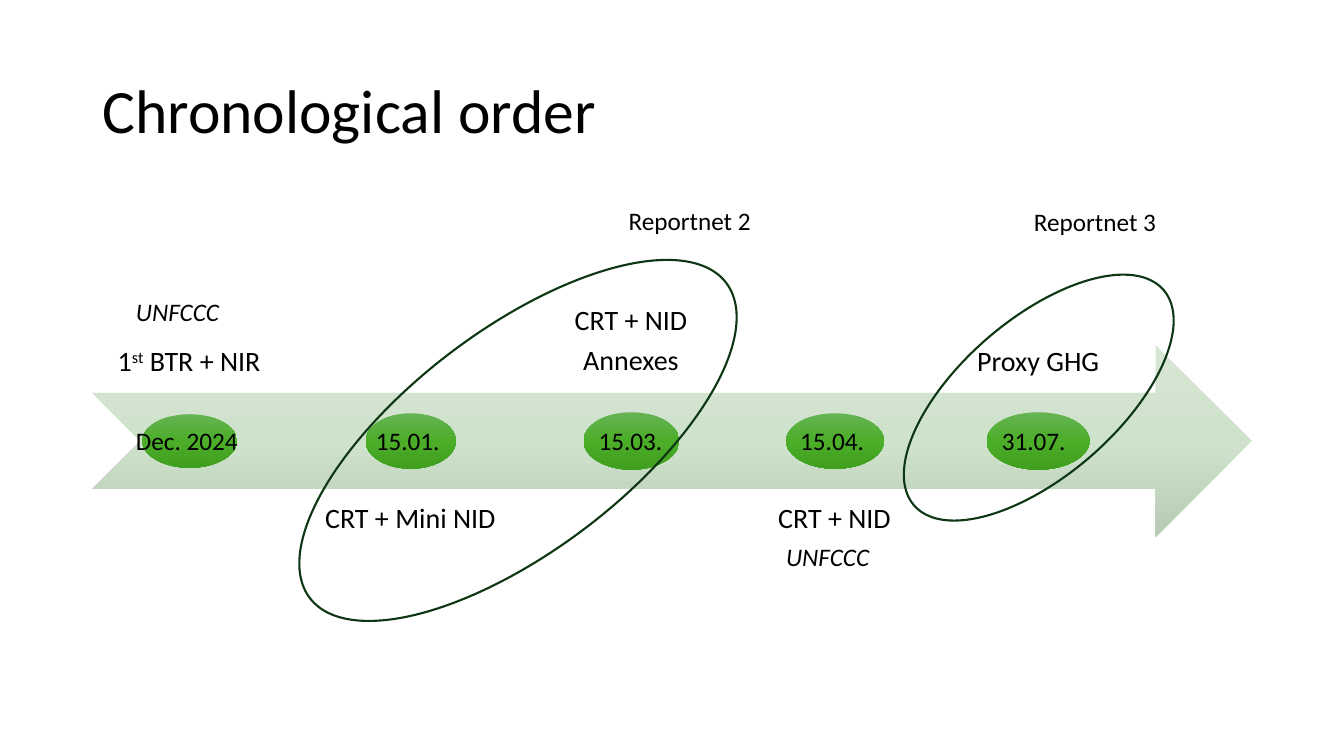
from copy import deepcopy

from pptx import Presentation
from pptx.dml.color import RGBColor
from pptx.enum.shapes import MSO_SHAPE as Preset
from pptx.enum.text import MSO_ANCHOR as Anchor, PP_ALIGN as Align
from pptx.oxml.ns import qn
from pptx.util import Pt


def color(hex_code):
    return RGBColor.from_string(hex_code)


class TimelineSlide:
    font_name = "Calibri"
    text_color = "000000"
    ring_color = "0D3612"
    arrow_gradient = ("D8E6D5", "CFE2CC", "B7CBB4")
    dot_gradient = ("66B354", "4BAD28", "409F1E")

    def __init__(self, presentation):
        self.slide = presentation.slides.add_slide(presentation.slide_layouts[5])

    def format_runs(self, paragraph, size, italic=False):
        for run in paragraph.runs:
            run.font.name = self.font_name
            run.font.size = Pt(size)
            run.font.italic = italic
            run.font.color.rgb = color(self.text_color)

    def title(self, text, left, top, width, height):
        title = self.slide.shapes.title
        title.left, title.top, title.width, title.height = map(Pt, (left, top, width, height))
        title.text_frame.text = text
        title.text_frame.vertical_anchor = Anchor.MIDDLE
        paragraph = title.text_frame.paragraphs[0]
        paragraph.alignment = Align.LEFT
        paragraph.line_spacing = 0.9
        self.format_runs(paragraph, 44)

    def text_box(self, left, top, width, height):
        box = self.slide.shapes.add_textbox(*map(Pt, (left, top, width, height)))
        box.text_frame.word_wrap = True
        return box.text_frame

    def note(self, text, left, top, width, italic=False):
        frame = self.text_box(left, top, width, 29)
        frame.text = text
        self.format_runs(frame.paragraphs[0], 18, italic)

    def label(self, lines, left, width, above):
        frame = self.text_box(left, 144 if above else 349.2, width, 136.8)
        frame.vertical_anchor = Anchor.BOTTOM if above else Anchor.TOP
        frame.margin_left = frame.margin_right = Pt(11.5)
        frame.margin_top = frame.margin_bottom = Pt(11.5)
        for index, parts in enumerate(lines):
            paragraph = frame.add_paragraph() if index else frame.paragraphs[0]
            paragraph.alignment = Align.CENTER
            paragraph.line_spacing = 0.9
            paragraph.space_after = Pt(7)
            for part in parts:
                paragraph.add_run().text = part
            self.format_runs(paragraph, 20)
            if len(parts) > 1:
                paragraph.runs[1].font._element.set("baseline", "30000")

    def preset(self, kind, left, top, width, height):
        shape = self.slide.shapes.add_shape(kind, *map(Pt, (left, top, width, height)))
        shape.shadow.inherit = False
        return shape

    def gradient_shape(self, kind, left, top, width, height, colors):
        shape = self.preset(kind, left, top, width, height)
        shape.line.fill.background()
        shape.fill.gradient()
        shape.fill.gradient_angle = 270
        stops = shape._element.spPr.find(qn("a:gradFill")).find(qn("a:gsLst"))
        stops.insert(1, deepcopy(stops[0]))
        for index, (stop, hex_code) in enumerate(zip(shape.fill.gradient_stops, colors)):
            stop.position = index / 2
            stop.color.rgb = color(hex_code)

    def arrow(self, left, top, width, height):
        self.gradient_shape(Preset.NOTCHED_RIGHT_ARROW, left, top, width, height, self.arrow_gradient)

    def dot(self, center_x, center_y, width, height):
        self.gradient_shape(Preset.OVAL, center_x - width / 2, center_y - height / 2,
                            width, height, self.dot_gradient)

    def ring(self, center_x, center_y, width, height, rotation):
        shape = self.preset(Preset.OVAL, center_x - width / 2, center_y - height / 2, width, height)
        shape.rotation = rotation
        shape.fill.background()
        shape.line.color.rgb = color(self.ring_color)
        shape.line.width = Pt(1.5)


def main():
    presentation = Presentation()
    presentation.slide_width, presentation.slide_height = Pt(960), Pt(540)
    timeline = TimelineSlide(presentation)
    timeline.title("Chronological order", 66, 28.8, 828, 104.4)
    timeline.arrow(66, 246.4, 828, 137)

    milestones = [
        ("Dec. 2024", 90, 102, 135.5, 67.7, 38.2, [("1", "st", " BTR + NIR")], 66, 138.2, True),
        ("15.01.", 261.4, 66, 293.4, 64.5, 39.6, [("CRT + Mini NID",)], 211.5, 163.4, False),
        ("15.03.", 420.5, 66, 451, 68.4, 41, [("CRT + NID",), ("Annexes",)], 381.6, 138.2, True),
        ("15.04.", 564.5, 66, 596.5, 70, 39.6, [("CRT + NID",)], 527, 138.2, False),
        ("31.07.", 708.5, 66, 741.5, 73.5, 41, [("Proxy GHG",)], 672.5, 138.2, True),
    ]
    for _, _, _, center_x, dot_width, dot_height, lines, left, width, above in milestones:
        timeline.label(lines, left, width, above)
        timeline.dot(center_x, 315, dot_width, dot_height)
    for date, left, width, *_ in milestones:
        timeline.note(date, left, 300.4, width)

    timeline.ring(370, 314.6, 373, 158, -37.1)
    timeline.ring(742, 284, 235.5, 112, -40.8)

    timeline.note("Reportnet 2", 442, 142.8, 105)
    timeline.note("Reportnet 3", 731.5, 144, 105)
    timeline.note("UNFCCC", 554.4, 383, 87, italic=True)
    timeline.note("UNFCCC", 90, 208, 87, italic=True)
    presentation.save("out.pptx")


if __name__ == "__main__":
    main()
